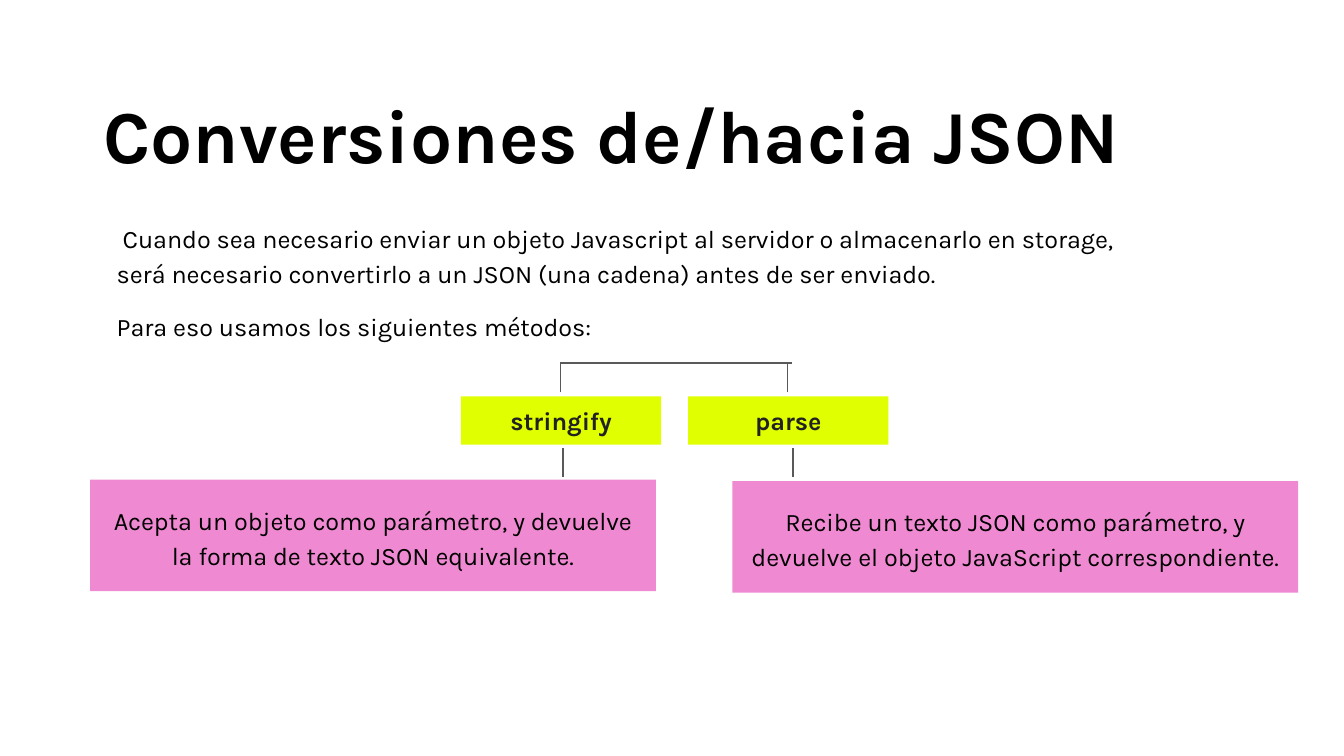
import pptx
import pptx.util
import pptx.dml.color
import pptx.enum.shapes
import pptx.enum.text
import pptx.oxml.ns
import lxml.etree

Inches = pptx.util.Inches
RGBColor = pptx.dml.color.RGBColor

BLACK = RGBColor(0x00, 0x00, 0x00)
DARK = RGBColor(0x22, 0x22, 0x22)
GREY = RGBColor(0x59, 0x59, 0x59)
LIME = RGBColor(0xE0, 0xFF, 0x00)
PINK = RGBColor(0xEF, 0x89, 0xD2)

FONT = "Karla"
BODY_SIZE = 13.5
LABEL_W, LABEL_H = 1.49, 0.36
NOTE_W, NOTE_H = 4.21, 0.83
STEM_H = 0.22


def write_text(sp, paragraphs, size=BODY_SIZE, color=BLACK, bold=False,
               spacing=1.0, align=None, anchor=pptx.enum.text.MSO_ANCHOR.TOP):
    tf = sp.text_frame
    tf.word_wrap = True
    tf.vertical_anchor = anchor
    tf.margin_left = tf.margin_right = Inches(0.1)
    tf.margin_top = tf.margin_bottom = Inches(0.1)
    tf.text = "\n".join(paragraphs)
    for i, p in enumerate(tf.paragraphs):
        p.alignment = align
        p.line_spacing = spacing
        if i:
            p.space_before = pptx.util.Pt(10)
        for r in p.runs:
            r.font.name = FONT
            r.font.size = pptx.util.Pt(size)
            r.font.bold = bold
            r.font.color.rgb = color


def add_text(s, box, paragraphs, **style):
    sp = s.shapes.add_textbox(*map(Inches, box))
    write_text(sp, paragraphs, **style)


def add_block(s, box, fill, text, **style):
    sp = s.shapes.add_shape(pptx.enum.shapes.MSO_SHAPE.RECTANGLE, *map(Inches, box))
    sp.shadow.inherit = False
    sp.fill.solid()
    sp.fill.fore_color.rgb = fill
    sp.line.fill.background()
    write_text(sp, [text], align=pptx.enum.text.PP_ALIGN.CENTER,
               anchor=pptx.enum.text.MSO_ANCHOR.MIDDLE, **style)


def add_line(s, x1, y1, x2, y2):
    line = s.shapes.add_connector(pptx.enum.shapes.MSO_CONNECTOR.STRAIGHT,
                                  *map(Inches, (x1, y1, x2, y2)))
    line.line.color.rgb = GREY
    line.line.width = pptx.util.Pt(0.75)
    lxml.etree.SubElement(line._element.spPr, pptx.oxml.ns.qn("a:effectLst"))


def add_method(s, left, top, name, note, note_left, note_top, stem_left):
    """Upper stem, label, lower stem and note, placed from the given corner."""
    center = left + 0.74
    add_line(s, center, top + STEM_H, center, top)
    add_block(s, (left, top + 0.25, LABEL_W, LABEL_H), LIME, name,
              color=DARK, bold=True)
    stem = left + stem_left
    add_line(s, stem, top + 0.63 + STEM_H, stem, top + 0.63)
    add_block(s, (left + note_left, top + note_top, NOTE_W, NOTE_H), PINK, note,
              spacing=1.15)


def add_method_tree(s, left, top):
    # Horizontal branch over both methods
    add_line(s, left + 0.74, top, left + 2.46, top)
    add_method(s, left, top, "stringify",
               "Acepta un objeto como parámetro, y devuelve la forma de texto "
               "JSON equivalente.", -2.76, 0.87, 0.76)
    add_method(s, left + 1.69, top, "parse",
               "Recibe un texto JSON como parámetro, y devuelve el objeto "
               "JavaScript correspondiente.", 0.33, 0.88, 0.78)


def add_heading(s, left, top):
    # Title and introduction
    add_text(s, (left, top, 8.44, 0.83), ["Conversiones de/hacia JSON"],
             size=40, bold=True)
    add_text(s, (left + 0.1, top + 0.97, 7.75, 1.58), [
        " Cuando sea necesario enviar un objeto Javascript al servidor o "
        "almacenarlo en storage, será necesario convertirlo a un JSON "
        "(una cadena) antes de ser enviado.",
        "Para eso usamos los siguientes métodos:",
    ], spacing=1.15)


def main():
    prs = pptx.Presentation()
    # Widescreen, 16:9
    prs.slide_width = Inches(10)
    prs.slide_height = prs.slide_width * 9 // 16
    s = prs.slides.add_slide(prs.slide_layouts[6])
    add_heading(s, 0.67, 0.56)
    add_method_tree(s, 3.43, 2.7)
    prs.save("out.pptx")


if __name__ == "__main__":
    main()
